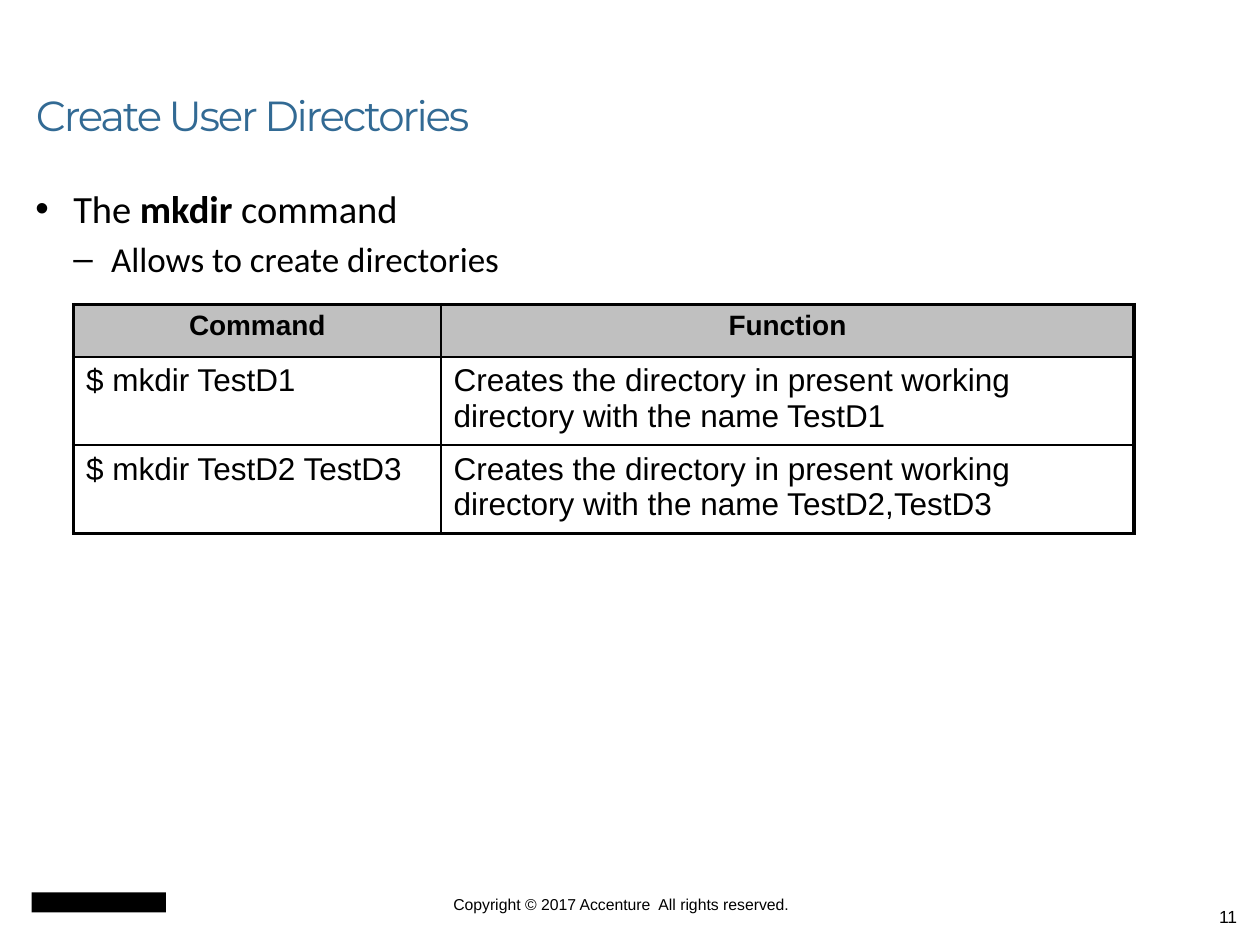
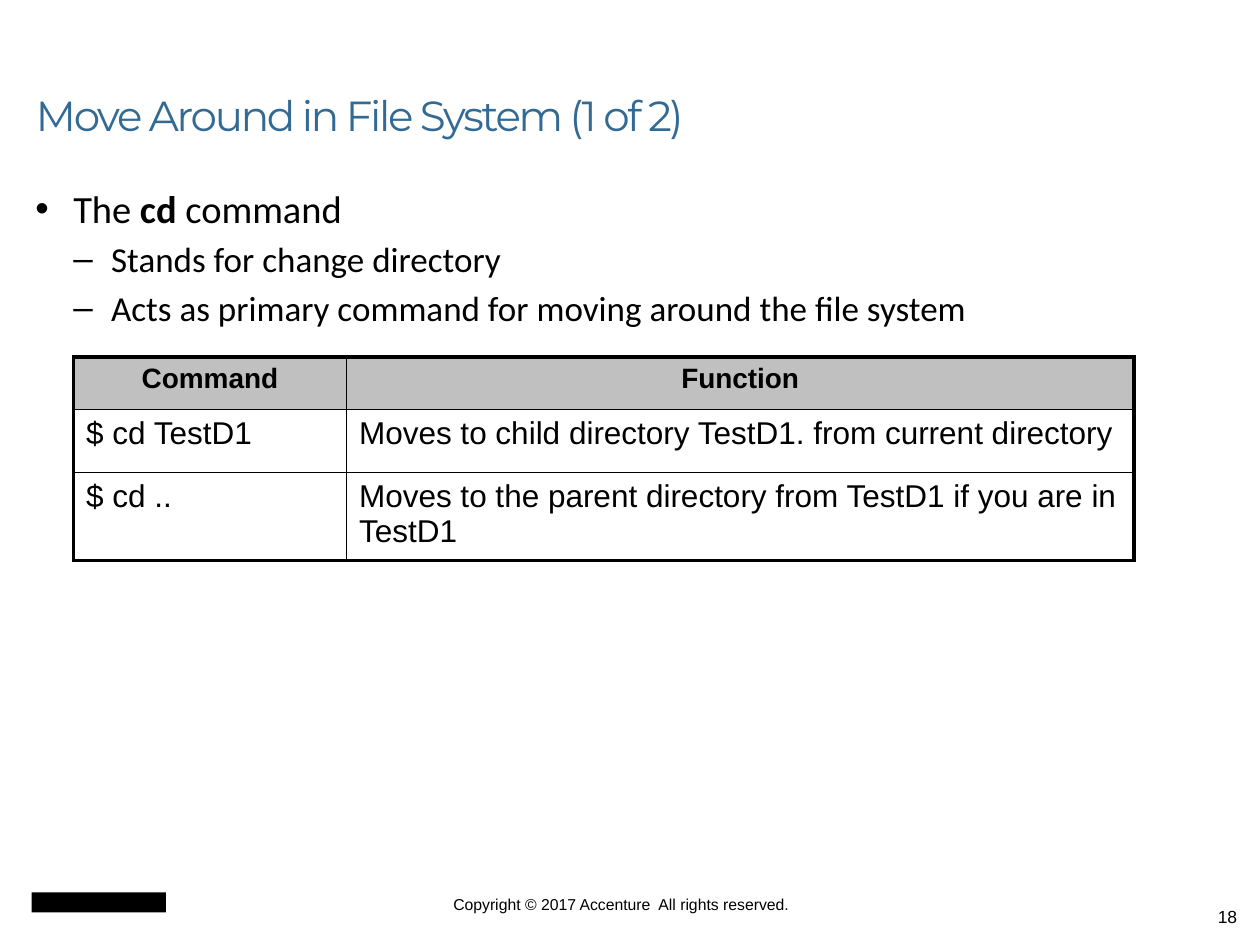
"""Build two training slides on the mkdir and cd commands."""
from dataclasses import dataclass

from lxml.etree import SubElement
from pptx import Presentation
from pptx.dml.color import RGBColor as Rgb
from pptx.enum.shapes import MSO_SHAPE as Preset
from pptx.enum.text import MSO_ANCHOR as Anchor, PP_ALIGN as Align
from pptx.oxml.ns import qn
from pptx.util import Inches, Pt


@dataclass(frozen=True)
class Theme:
    ink: Rgb = Rgb.from_string("000000")
    title_blue: Rgb = Rgb.from_string("326A94")
    header_grey: Rgb = Rgb.from_string("C0C0C0")
    title_font: str = "Montserrat"
    body_font: str = "Calibri"
    table_font: str = "Arial"
    title_size: int = 24
    topic_size: int = 22
    detail_size: int = 20
    header_size: int = 16
    cell_size: int = 18
    footer_size: int = 9
    number_size: int = 10
    frame_width: float = 2.25
    rule_width: float = 1


theme = Theme()
UNIT = Inches(1) / 12
COLUMNS, ROWS = 120, 90
TABLE_LEFT, HEADER_ROWS = 7, 5

lessons = [
    dict(
        title="Create User Directories", number="11", command="mkdir",
        details=["Allows to create directories"],
        table_top=29, widths=[35, 66], heights=[HEADER_ROWS, 8.4, 8.4],
        usage=[
            ("$ mkdir TestD1", "Creates the directory in present working directory with the name TestD1"),
            ("$ mkdir TestD2 TestD3", "Creates the directory in present working directory with the name TestD2,TestD3"),
        ],
    ),
    dict(
        title="Move Around in File System (1 of 2)", number="18", command="cd",
        details=["Stands for change directory", "Acts as primary command for moving around the file system"],
        table_top=34, widths=[26, 75], heights=[HEADER_ROWS, 6, 8.4],
        usage=[
            ("$ cd TestD1", "Moves to child directory TestD1. from current directory"),
            ("$ cd ..", "Moves to the parent directory from TestD1 if you are in TestD1"),
        ],
    ),
]


def grid(*counts):
    """Turn counts of columns or rows into lengths."""
    return [round(count * UNIT) for count in counts]


def style(paragraph, face, size, color=theme.ink, bold=False, align=Align.LEFT):
    """Set the alignment and font that a whole paragraph shares."""
    paragraph.alignment = align
    font = paragraph.font
    font.name, font.size, font.bold = face, Pt(size), bold
    font.color.rgb = color


deck = Presentation()
deck.slide_width, deck.slide_height = grid(COLUMNS, ROWS)

for lesson in lessons:
    slide = deck.slides.add_slide(deck.slide_layouts[6])

    emblem = slide.shapes.add_shape(Preset.RECTANGLE, *grid(3, 85, 12.8, 1.9))
    emblem.shadow.inherit = False
    emblem.fill.solid()
    emblem.fill.fore_color.rgb = theme.ink
    emblem.line.fill.background()

    copyright_line = slide.shapes.add_textbox(*grid(33, 85.2, 52.3, 1.8)).text_frame
    copyright_line.margin_left = copyright_line.margin_right = 0
    copyright_line.margin_top = copyright_line.margin_bottom = 0
    copyright_line.word_wrap = True
    copyright_line.text = "Copyright © 2017 Accenture  All rights reserved."
    style(copyright_line.paragraphs[0], theme.table_font, theme.footer_size, align=Align.CENTER)

    page_number = slide.shapes.add_textbox(*grid(91, 85.7, 28, 4.3)).text_frame
    page_number.word_wrap = True
    page_number.text = lesson["number"]
    style(page_number.paragraphs[0], theme.table_font, theme.number_size, align=Align.RIGHT)

    heading = slide.shapes.add_textbox(*grid(2.25, 2, 107, 12)).text_frame
    heading.word_wrap = True
    heading.vertical_anchor = Anchor.BOTTOM
    heading.text = lesson["title"]
    heading_line = heading.paragraphs[0]
    heading_line.line_spacing = 0.9
    style(heading_line, theme.title_font, theme.title_size, theme.title_blue)
    heading_line.runs[0]._r.get_or_add_rPr().set("spc", "-130")

    outline = slide.shapes.add_textbox(*grid(2.2, 17, 111.8, 63)).text_frame
    outline.word_wrap = True
    topic = outline.paragraphs[0]
    for words in ("The ", lesson["command"], " command"):
        topic.add_run().text = words
    topic.runs[1].font.bold = True
    for detail in lesson["details"]:
        point = outline.add_paragraph()
        point.text = detail
        point.level = 1
        point.space_before = Pt(0.2 * theme.detail_size)
    for point in outline.paragraphs:
        properties = point._p.get_or_add_pPr()
        properties.set("marL", str(Inches(0.3) * (point.level + 1)))
        properties.set("indent", str(-Inches(0.3)))
        SubElement(properties, qn("a:buFont"), typeface="Arial")
        SubElement(properties, qn("a:buChar"), char="•–"[point.level])
        style(point, theme.body_font, theme.detail_size if point.level else theme.topic_size)

    widths, heights = lesson["widths"], lesson["heights"]
    entries = [("Command", "Function"), *lesson["usage"]]
    last_row, last_column = len(heights) - 1, len(widths) - 1
    usage_table = slide.shapes.add_table(
        len(heights), len(widths),
        *grid(TABLE_LEFT, lesson["table_top"], sum(widths), sum(heights)),
    ).table
    usage_table.first_row = usage_table.horz_banding = False
    for column, width in zip(usage_table.columns, grid(*widths)):
        column.width = width
    for row, height in zip(usage_table.rows, grid(*heights)):
        row.height = height

    for r, entry in enumerate(entries):
        for c, words in enumerate(entry):
            cell = usage_table.cell(r, c)
            cell.text = words
            outer_sides = {"lnL": c == 0, "lnR": c == last_column, "lnT": r == 0, "lnB": r == last_row}
            for side, is_outer in outer_sides.items():
                width = Pt(theme.frame_width if is_outer else theme.rule_width)
                border = SubElement(cell._tc.get_or_add_tcPr(), qn(f"a:{side}"), w=str(width))
                ink = SubElement(border, qn("a:solidFill"))
                SubElement(ink, qn("a:srgbClr"), val=str(theme.ink))
            line = cell.text_frame.paragraphs[0]
            if r == 0:
                cell.fill.solid()
                cell.fill.fore_color.rgb = theme.header_grey
                style(line, theme.table_font, theme.header_size, bold=True, align=Align.CENTER)
            else:
                cell.fill.background()
                style(line, theme.table_font, theme.cell_size)

deck.save("out.pptx")
